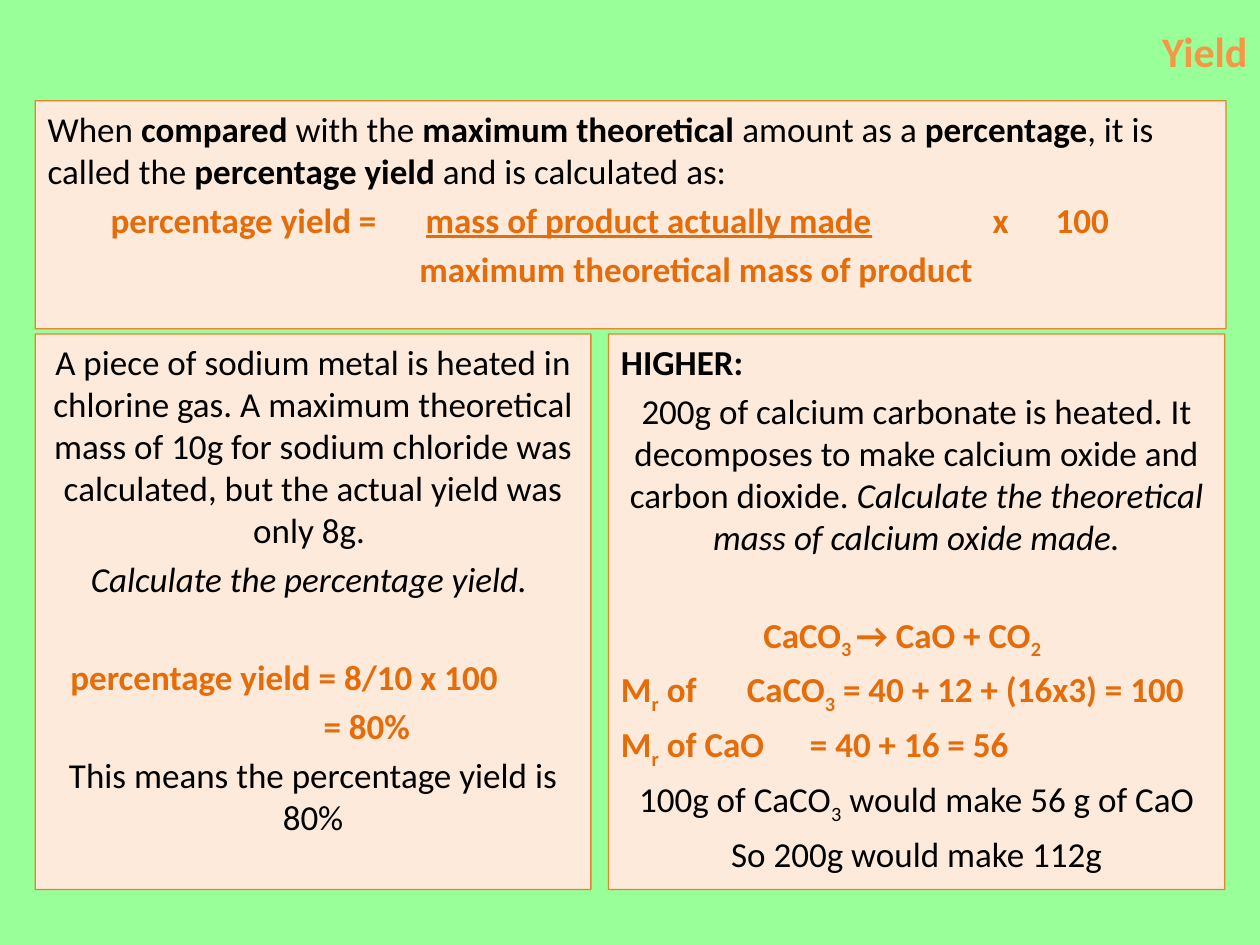
import pptx
import pptx.util
import pptx.dml.color
import pptx.enum.shapes
import pptx.enum.text
import pptx.oxml.ns
import lxml.etree

Inches = pptx.util.Inches
Pt = pptx.util.Pt
ALIGN = pptx.enum.text.PP_ALIGN
COLORS = {"back": "99FF99", "panel": "FDEADA", "accent": "E46C0A", "title": "F79646", "text": "000000"}
STYLES = {
    "plain": {"color": "text"},
    "bold": {"color": "text", "bold": True},
    "italic": {"color": "text", "italic": True},
    "sub": {"color": "text", "base": -25000},
    "key": {"color": "accent", "bold": True},
    "keyline": {"color": "accent", "bold": True, "underline": True},
    "keysub": {"color": "accent", "bold": True, "base": -25000},
    "title": {"color": "title", "bold": True, "size": Pt(24)},
}


def rgb(name):
    return pptx.dml.color.RGBColor.from_string(COLORS[name])


def write(tf, paragraphs):
    tf.word_wrap = True
    for i, (fmt, runs) in enumerate(paragraphs):
        p = tf.paragraphs[0] if i == 0 else tf.add_paragraph()
        p.alignment = fmt.get("align", ALIGN.LEFT)
        p.space_before = Pt(fmt.get("before", 4) if i else 0)
        pPr = p._p.get_or_add_pPr()
        pPr.set("marL", str(Inches(fmt.get("indent", 0))))
        pPr.set("indent", "0")
        if "tabs" in fmt:
            tabs = lxml.etree.SubElement(pPr, pptx.oxml.ns.qn("a:tabLst"))
            for pos in fmt["tabs"]:
                lxml.etree.SubElement(tabs, pptx.oxml.ns.qn("a:tab"), pos=str(Inches(pos)), algn="l")
        for style, text in runs:
            r = p.add_run()
            r.text = text
            for key, value in {"name": "Calibri", "size": Pt(20), **STYLES[style]}.items():
                if key == "color":
                    r.font.color.rgb = rgb(value)
                elif key == "base":
                    r._r.get_or_add_rPr().set("baseline", str(value))
                else:
                    setattr(r.font, key, value)


prs = pptx.Presentation()
prs.slide_width, prs.slide_height = Inches(10), Inches(7.5)
s = prs.slides.add_slide(prs.slide_layouts[6])
s.background.fill.solid()
s.background.fill.fore_color.rgb = rgb("back")

sp = s.shapes.add_textbox(Inches(0.67), Inches(0.04), Inches(9.33), Inches(0.72))
sp.text_frame.vertical_anchor = pptx.enum.text.MSO_ANCHOR.MIDDLE
write(sp.text_frame, [({"align": ALIGN.RIGHT}, [("title", "Yield")])])

center = {"align": ALIGN.CENTER}
definition = [
    ({}, [("plain", "When"), ("bold", " compared "), ("plain", "with the "),
          ("bold", "maximum theoretical "), ("plain", "amount as a "), ("bold", "percentage"),
          ("plain", ", it is called the "), ("bold", "percentage yield "),
          ("plain", "and is calculated as:")]),
    ({"tabs": [0.94, 3.37, 7.34, 7.53, 7.91]},
     [("key", "\tpercentage yield = "), ("keyline", "\tmass of product actually made\t"),
      ("key", "\tx\t100")]),
    ({"indent": 2.95}, [("key", "maximum theoretical mass of product")]),
]
example = [
    (center, [("plain", "A piece of sodium metal is heated in chlorine gas. A maximum theoretical mass of "
                        "10g for sodium chloride was calculated, but the actual yield was only 8g. ")]),
    (center, [("italic", "Calculate the percentage yield. ")]),
    ({"indent": 0.18, "before": 32}, [("key", "percentage yield = 8/10 x 100")]),
    ({"indent": 2.19}, [("key", "= 80%")]),
    (center, [("plain", "This means the percentage yield is 80%")]),
]
higher = [
    ({}, [("bold", "HIGHER:")]),
    (center, [("plain", "200g of calcium carbonate is heated. It decomposes to make calcium oxide and "
                        "carbon dioxide. "),
              ("italic", "Calculate the theoretical mass of calcium oxide made.")]),
    ({"indent": 1.13, "before": 32},
     [("key", "CaCO"), ("keysub", "3 "), ("key", "→ CaO + CO"), ("keysub", "2")]),
    ({"tabs": [0.73]}, [("key", "M"), ("keysub", "r"), ("key", " of\tCaCO"), ("keysub", "3"),
                        ("key", " = 40 + 12 + (16x3) = 100")]),
    ({"tabs": [1.51]}, [("key", "M"), ("keysub", "r"), ("key", " of CaO\t= 40 + 16 = 56")]),
    (center, [("plain", "100g of CaCO"), ("sub", "3"), ("plain", " would make 56 g of CaO")]),
    (center, [("plain", "So 200g would make 112g")]),
]

for box, paragraphs in [
    ((0.28, 0.8, 9.45, 1.81), definition),
    ((0.28, 2.65, 4.41, 4.41), example),
    ((4.83, 2.65, 4.89, 4.41), higher),
]:
    sp = s.shapes.add_shape(pptx.enum.shapes.MSO_SHAPE.RECTANGLE, *map(Inches, box))
    sp.shadow.inherit = False
    sp.fill.solid()
    sp.fill.fore_color.rgb = rgb("panel")
    sp.line.color.rgb = rgb("accent")
    sp.line.width = Pt(0.75)
    line_color = sp.line._ln.find(".//" + pptx.oxml.ns.qn("a:srgbClr"))
    lxml.etree.SubElement(line_color, pptx.oxml.ns.qn("a:alpha"), val="80000")
    sp.text_frame.vertical_anchor = pptx.enum.text.MSO_ANCHOR.TOP
    write(sp.text_frame, paragraphs)

prs.save("out.pptx")
